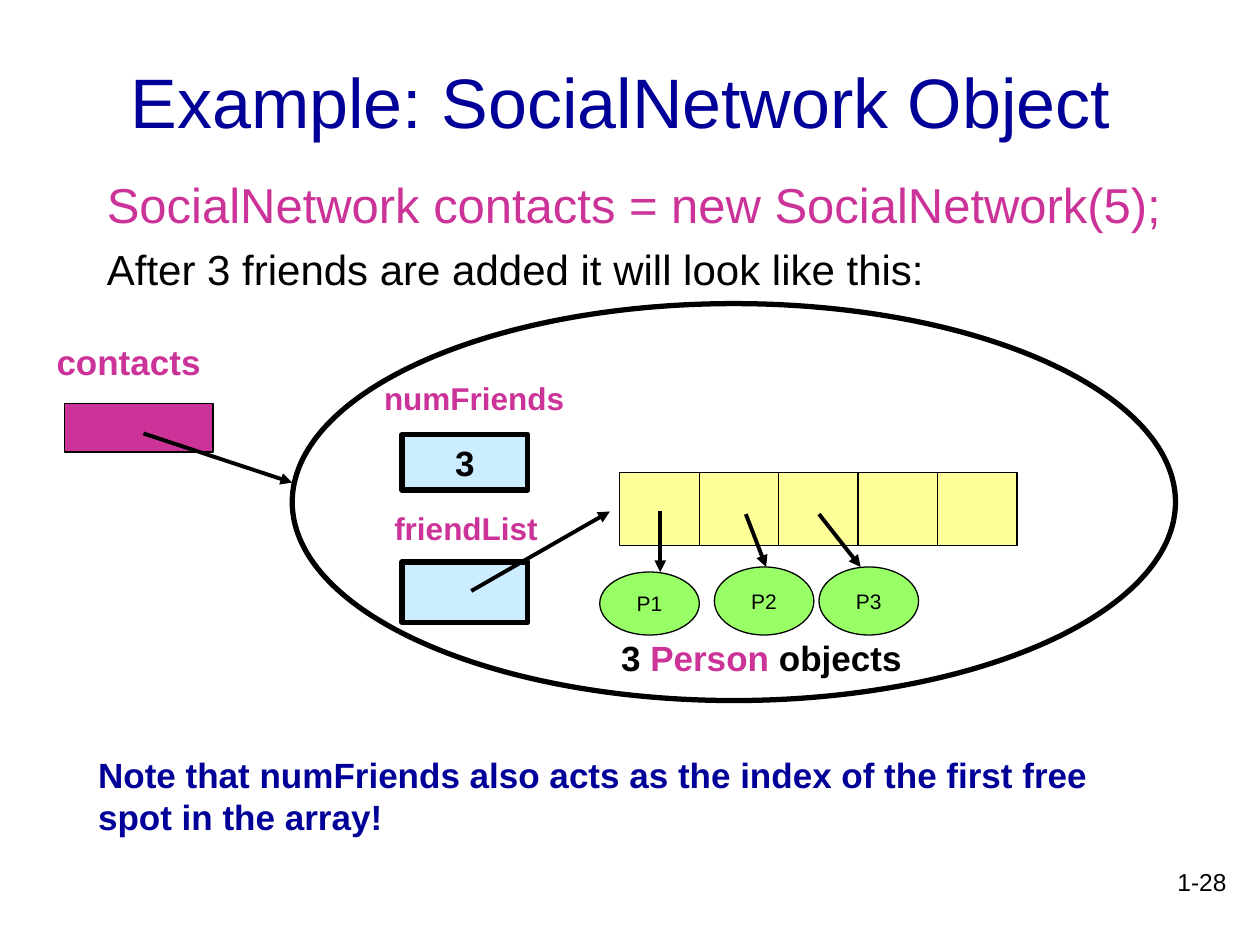
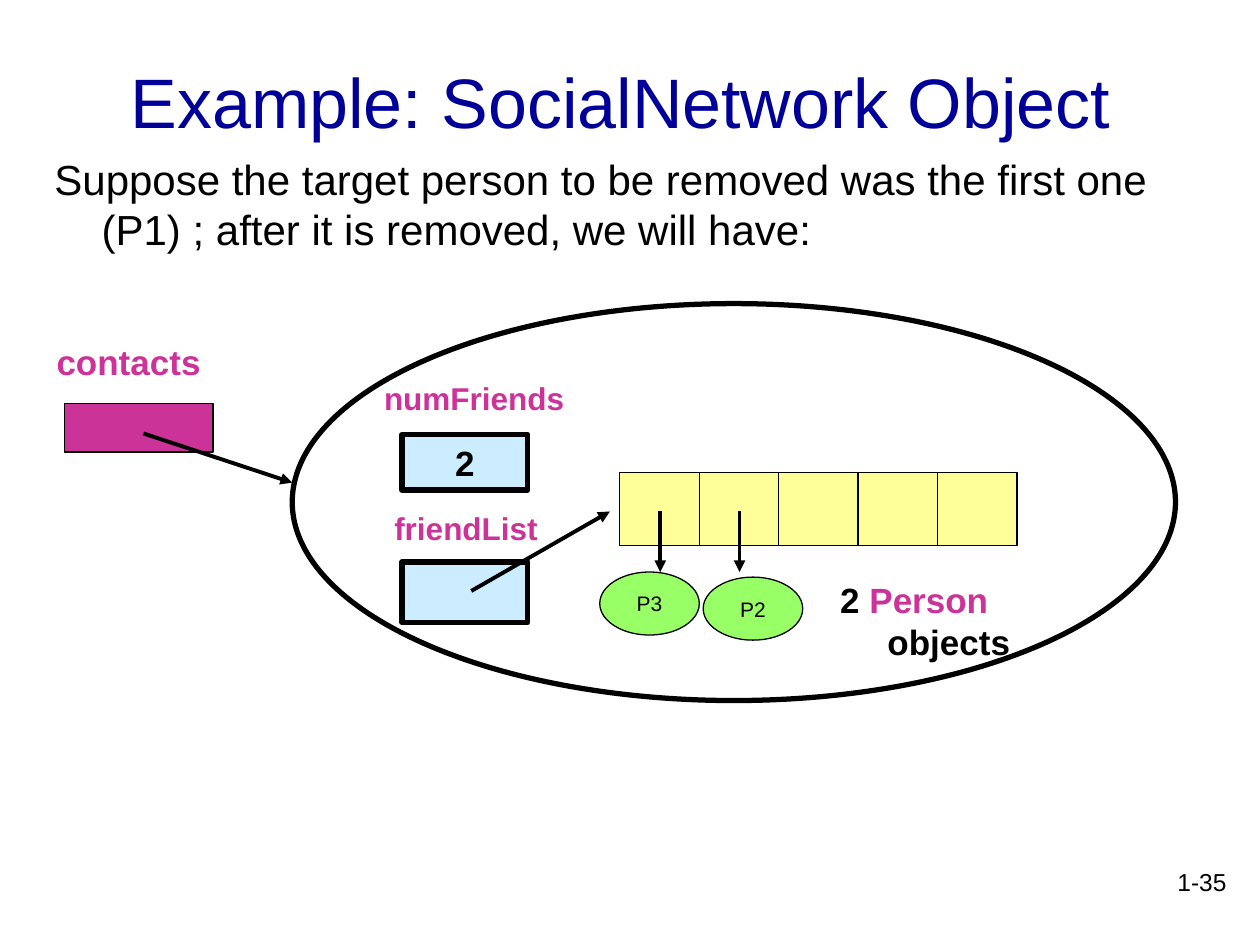
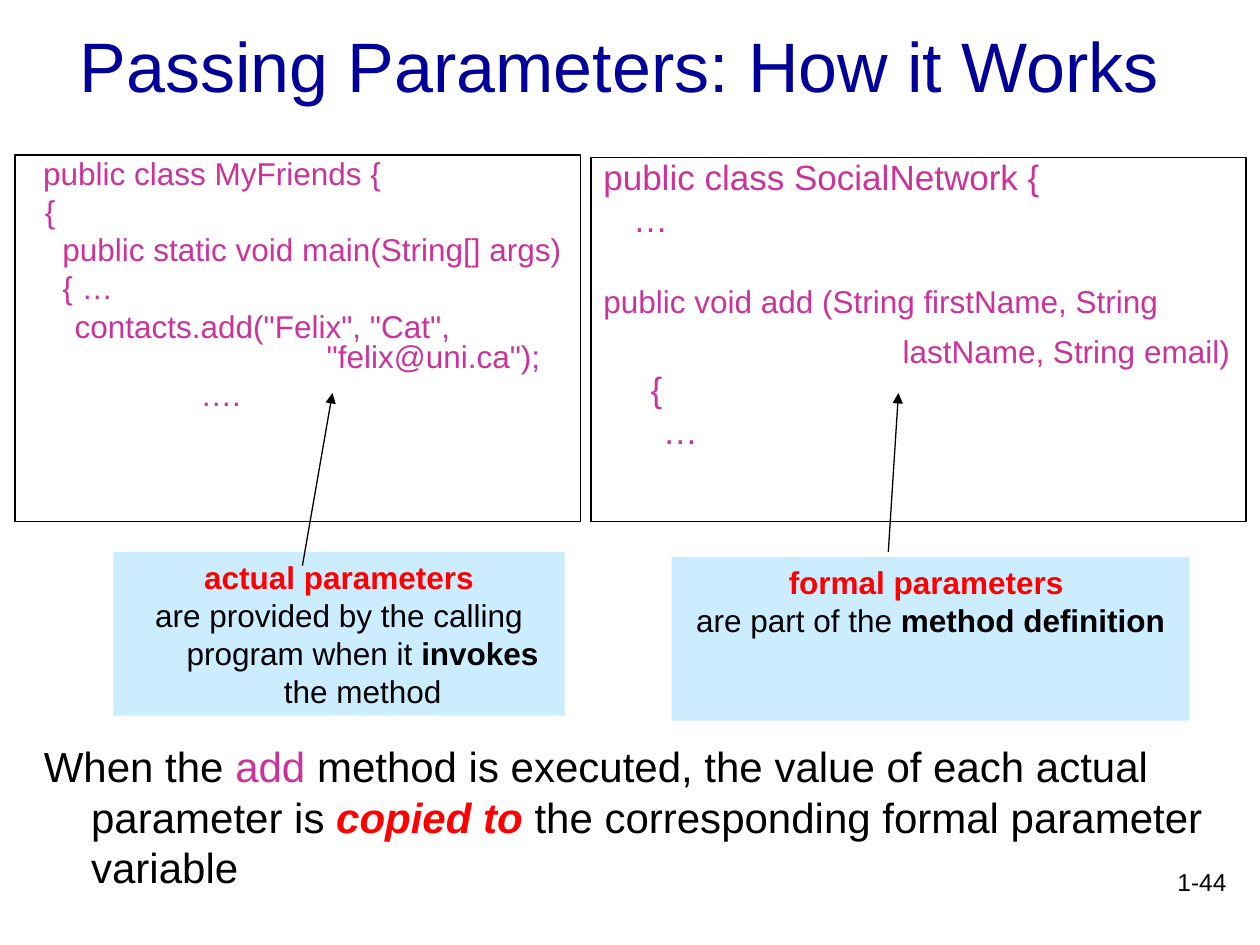
from lxml.etree import SubElement
from pptx import Presentation
from pptx.dml.color import RGBColor
from pptx.enum.shapes import MSO_CONNECTOR, MSO_SHAPE
from pptx.enum.text import MSO_ANCHOR, MSO_AUTO_SIZE, PP_ALIGN
from pptx.oxml.ns import qn
from pptx.util import Pt


class Theme:
    font = "Arial"
    ink = RGBColor.from_string("000000")
    navy = RGBColor.from_string("000099")
    magenta = RGBColor.from_string("CC3399")
    red = RGBColor.from_string("FF0000")
    sky = RGBColor.from_string("CCECFF")
    yellow = RGBColor.from_string("FFFF99")
    green = RGBColor.from_string("99FF66")
    title, lead, body, strong, code, page, tiny = 40, 28, 24, 20, 18, 14, 12
    thin, medium, thick = 0.75, 2.25, 3
    hang = 27


def box(s, kind, at, paras=(), fill=None, line=None, align=PP_ALIGN.LEFT,
        anchor=MSO_ANCHOR.TOP, wrap=True):
    at = [Pt(v) for v in at]
    sp = s.shapes.add_shape(kind, *at) if kind else s.shapes.add_textbox(*at)
    sp.shadow.inherit = False
    if fill:
        sp.fill.solid()
        sp.fill.fore_color.rgb = fill
    else:
        sp.fill.background()
    if line:
        sp.line.color.rgb = Theme.ink
        sp.line.width = Pt(line)
    else:
        sp.line.fill.background()
    tf = sp.text_frame
    tf.word_wrap = wrap
    tf.vertical_anchor = anchor
    for i, runs in enumerate(paras):
        p = tf.add_paragraph() if i else tf.paragraphs[0]
        p.alignment = align
        pPr = p._p.get_or_add_pPr()
        pPr.set("marL", str(Pt(Theme.hang)))
        pPr.set("indent", str(-Pt(Theme.hang)))
        for text, size, color, style in runs:
            r = p.add_run()
            r.text = text
            r.font.name = Theme.font
            r.font.size = Pt(size)
            r.font.color.rgb = color
            r.font.bold = "b" in style
            r.font.italic = "i" in style
    return sp


def arrow(s, x1, y1, x2, y2, width):
    cx = s.shapes.add_connector(MSO_CONNECTOR.STRAIGHT, Pt(x1), Pt(y1), Pt(x2), Pt(y2))
    cx.line.color.rgb = Theme.ink
    cx.line.width = Pt(width)
    SubElement(cx.line._get_or_add_ln(), qn("a:tailEnd"), type="triangle")
    SubElement(cx._element.spPr, qn("a:effectLst"))


prs = Presentation()
prs.slide_width, prs.slide_height = Pt(720), Pt(540)

object_title = ("Example: SocialNetwork Object ", (54, 12.2, 612, 90))
pages = [
    (*object_title, "1-28"),
    (*object_title, "1-35"),
    ("Passing Parameters: How it Works", (19.4, -7.9, 668.9, 90), "1-44"),
]
slides = []
for title, at, number in pages:
    s = prs.slides.add_slide(prs.slide_layouts[5])
    sp = s.shapes.title
    sp.left, sp.top, sp.width, sp.height = [Pt(v) for v in at]
    tf = sp.text_frame
    tf.auto_size = MSO_AUTO_SIZE.NONE
    tf.vertical_anchor = MSO_ANCHOR.MIDDLE
    p = tf.paragraphs[0]
    p.alignment = PP_ALIGN.CENTER
    r = p.add_run()
    r.text = title
    r.font.name = Theme.font
    r.font.size = Pt(Theme.title)
    r.font.color.rgb = Theme.navy
    box(s, None, (558, 491.8, 150, 36), [[(number, Theme.page, Theme.ink, "")]],
        align=PP_ALIGN.RIGHT)
    slides.append(s)
added, removed, passing = slides

sp = box(added, None, (54, 96, 630, 90), [
    [("SocialNetwork contacts = new SocialNetwork(5);", Theme.lead, Theme.magenta, "")],
    [("After 3 friends are added it will look like this:", Theme.body, Theme.ink, "")],
])
for p, before in zip(sp.text_frame.paragraphs, (7, 6)):
    p.space_before = Pt(before)

sp = box(removed, None, (24, 84, 660, 80), [[
    ("Suppose the target person to be removed was the first one (P1) ; "
     "after it is removed, we will have:", Theme.body, Theme.ink, ""),
]])
sp.text_frame.paragraphs[0].space_before = Pt(6)

diagrams = [
    (added, "3", (347.8, 360, 244.8, 31.7),
     [("P1", (342.7, 326.9, 56.9, 36)), ("P2", (408.2, 324, 56.9, 38.9)),
      ("P3", (468, 324, 56.9, 38.9))],
     [(377.3, 292.3, 377.3, 326.9), (426.2, 293.8, 437.8, 324),
      (468, 293.8, 491.8, 324)]),
    (removed, "2", (473, 326.9, 118.8, 55.4),
     [("P3", (342.7, 326.9, 56.9, 36)), ("P2", (401.8, 329.8, 56.9, 36))],
     [(377.3, 292.3, 377.3, 326.9), (422.6, 292.3, 422.6, 326.9)]),
]
labels = [
    ("contacts", Theme.strong, (25.2, 190.8, 114.5, 31.7)),
    ("friendList", Theme.code, (218.2, 287.3, 126, 28.8)),
    ("numFriends", Theme.code, (212.4, 213.1, 126.7, 28.8)),
]
for s, count, caption_at, people, pointers in diagrams:
    box(s, MSO_SHAPE.RECTANGLE, (36.7, 230.4, 85, 28), fill=Theme.magenta, line=Theme.thin)
    for text, size, at in labels:
        box(s, None, at, [[(text, size, Theme.magenta, "b")]])
    box(s, MSO_SHAPE.RECTANGLE, (229.7, 321.1, 72, 34.6), fill=Theme.sky, line=Theme.thick)
    box(s, MSO_SHAPE.RECTANGLE, (229.7, 248.4, 72, 31.7),
        [[(count, Theme.strong, Theme.ink, "b")]], Theme.sky, Theme.thick,
        PP_ALIGN.CENTER, MSO_ANCHOR.MIDDLE)
    box(s, MSO_SHAPE.OVAL, (167, 173.5, 504.7, 226.8), line=Theme.thick)
    for i in range(5):
        box(s, MSO_SHAPE.RECTANGLE, (354.2 + 45.4 * i, 270, 45.4, 41.8),
            fill=Theme.yellow, line=Theme.thin)
    for name, at in people:
        box(s, MSO_SHAPE.OVAL, at, [[(name, Theme.tiny, Theme.ink, "")]], Theme.green,
            Theme.thin, PP_ALIGN.CENTER, MSO_ANCHOR.MIDDLE, False)
    for ends in [(82, 247.7, 167, 275.8), (269.3, 337.7, 348.5, 292.3), *pointers]:
        arrow(s, *ends, Theme.medium)
    box(s, None, caption_at, [[
        (count + " ", Theme.strong, Theme.ink, "b"),
        ("Person ", Theme.strong, Theme.magenta, "b"),
        ("objects", Theme.strong, Theme.ink, "b"),
    ]])

box(added, None, (49, 427, 633.6, 55.4), [
    [(text, Theme.strong, Theme.navy, "b")] for text in (
        "Note that numFriends also acts as the index of the first free",
        "spot in the array!")
])

listings = [
    ((8.6, 88.6, 323.3, 209.5), [
        ("public class MyFriends {", Theme.code, 9, 4.5),
        ("{", Theme.code, 10, 4.5),
        ("public static void main(String[] args)", Theme.code, 20, 4.5),
        ("{ …", Theme.code, 20, 4.5),
        ('contacts.add("Felix", "Cat",', Theme.code, 27, 4.5),
        ('"felix@uni.ca");', Theme.code, 171, 0),
        ("….", Theme.code, 99, 4.5),
    ]),
    ((337.7, 90, 374.4, 208), [
        ("public class SocialNetwork {", Theme.strong, 0, 5),
        ("…", Theme.strong, 17, 5),
        ("public void add (String firstName, String", Theme.code, 0, 28.4),
        ("lastName, String email)", Theme.code, 171, 11.5),
        ("{", Theme.strong, 27, 3),
        ("…", Theme.strong, 34, 5),
    ]),
]
for at, lines in listings:
    sp = box(passing, MSO_SHAPE.RECTANGLE, at,
             [[(text, size, Theme.magenta, "")] for text, size, left, before in lines],
             line=Theme.thin)
    for p, (text, size, left, before) in zip(sp.text_frame.paragraphs, lines):
        p._p.pPr.set("marL", str(Pt(left)))
        p._p.pPr.set("indent", "0")
        p.line_spacing = 0.8
        p.space_before = Pt(before)

definitions = [
    ((64.8, 315.4, 257.8, 93.6), "actual parameters", [
        ("are provided by the calling program when it ", ""),
        ("invokes", "b"), (" the method", "")]),
    ((383.8, 318.2, 295.9, 93.6), "formal parameters ", [
        ("are part of the ", ""), ("method definition", "b")]),
]
for at, term, meaning in definitions:
    box(passing, MSO_SHAPE.RECTANGLE, at, [
        [(term, Theme.code, Theme.red, "b")],
        [(text, Theme.code, Theme.ink, style) for text, style in meaning],
    ], Theme.sky, align=PP_ALIGN.CENTER)

box(passing, None, (18, 419.8, 684, 93.6), [[
    ("When the ", Theme.body, Theme.ink, ""),
    ("add", Theme.body, Theme.magenta, ""),
    (" method is executed, the value of each actual parameter is ",
     Theme.body, Theme.ink, ""),
    ("copied to", Theme.body, Theme.red, "bi"),
    (" the corresponding formal parameter variable", Theme.body, Theme.ink, ""),
]])
for ends in [(507.6, 315.4, 513.4, 224.6), (172.8, 323.3, 190, 224.6)]:
    arrow(passing, *ends, Theme.thin)

prs.save("out.pptx")
